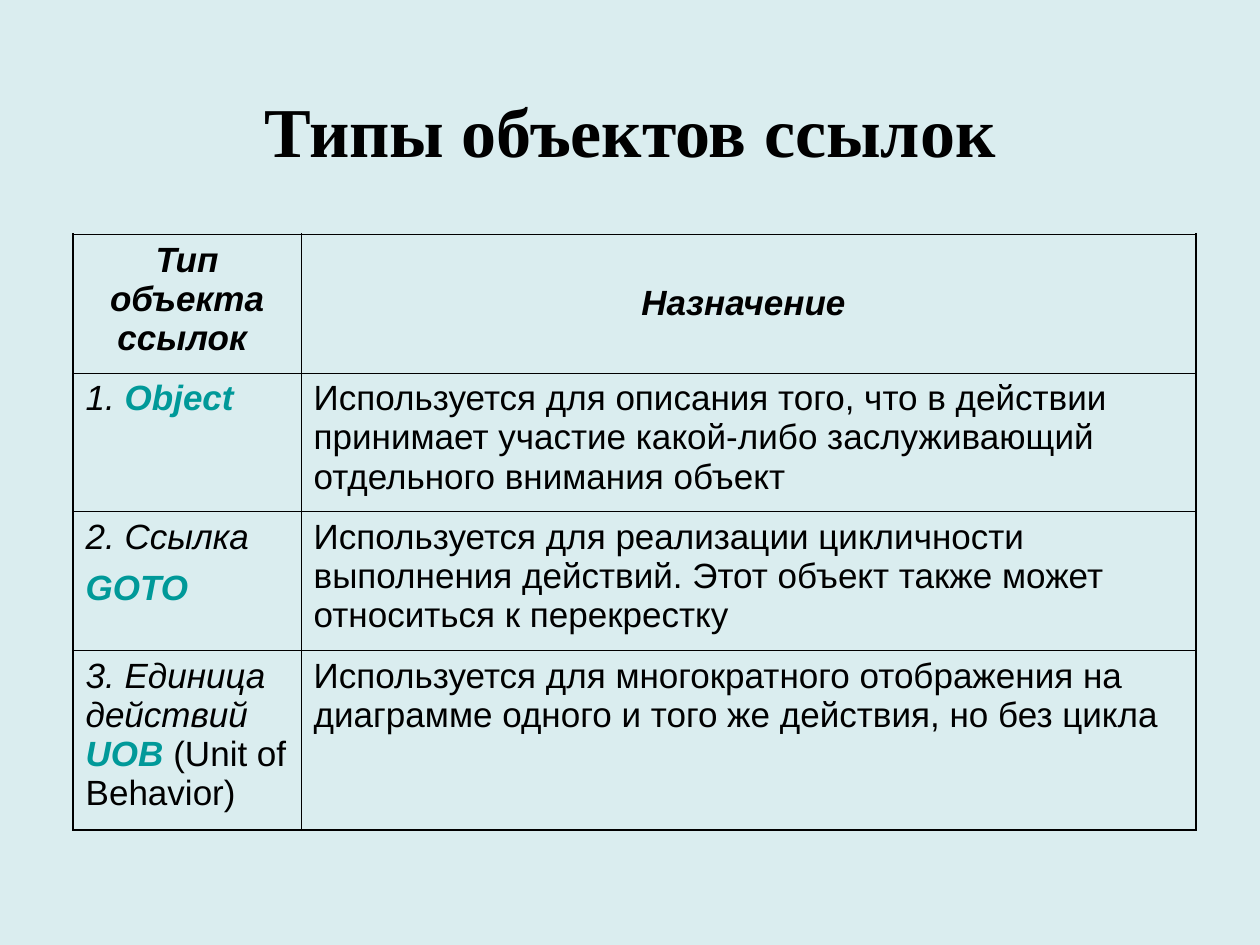
import dataclasses

import pptx
import pptx.dml.color
import pptx.enum.text
import pptx.oxml
import pptx.oxml.ns
import pptx.util

Inches = pptx.util.Inches
Pt = pptx.util.Pt
ALIGN = pptx.enum.text.PP_ALIGN
ANCHOR = pptx.enum.text.MSO_ANCHOR


@dataclasses.dataclass(frozen=True)
class Theme:
    ground: str = "DAEDEF"
    ink: str = "000000"
    accent: str = "009999"
    head_font: str = "Times New Roman"
    body_font: str = "Arial"
    head_size: int = 40
    body_size: int = 20
    thick: float = 1.08
    thin: float = 0.45
    gap: int = 7


THEME = Theme()


@dataclasses.dataclass(frozen=True)
class Run:
    text: str
    bold: bool = False
    italic: bool = False
    color: str = THEME.ink


@dataclasses.dataclass(frozen=True)
class Entry:
    """A cell's paragraphs, each a list of runs, and their placing."""
    lines: list[list[Run]]
    align: ALIGN = ALIGN.LEFT
    anchor: ANCHOR = ANCHOR.TOP


def head(text: str, anchor: ANCHOR) -> Entry:
    return Entry([[Run(text, bold=True, italic=True)]], ALIGN.CENTER, anchor)


def plain(text: str) -> Entry:
    return Entry([[Run(text)]])


def label(text: str) -> Run:
    return Run(text, italic=True)


def key(text: str) -> Run:
    return Run(text, bold=True, italic=True, color=THEME.accent)


COLS = [1.81, 7.1]
ROWS = [1.1, 1.1, 1.1, 1.43]
CELLS = [
    [head("Тип объекта ссылок ", ANCHOR.TOP), head("Назначение ", ANCHOR.MIDDLE)],
    [Entry([[label("1. "), key("Object")]]),
     plain("Используется для описания того, что в действии принимает участие "
           "какой-либо заслуживающий отдельного внимания объект")],
    [Entry([[label("2. Ссылка")], [key("GOTO")]]),
     plain("Используется для реализации цикличности выполнения действий. "
           "Этот объект также может относиться к перекрестку")],
    [Entry([[label("3. Единица действий "), key("UOB "), Run("(Unit of Behavior)")]]),
     plain("Используется для многократного отображения на диаграмме одного "
           "и того же действия, но без цикла")],
]


def set_font(font, color: str, **values) -> None:
    for name, value in values.items():
        setattr(font, name, value)
    font.color.rgb = pptx.dml.color.RGBColor.from_string(color)


def draw_edges(cell, row: int, col: int) -> None:
    """Give the table a thick frame and thin inner lines."""
    outer = {"lnL": col == 0, "lnR": col == len(COLS) - 1,
             "lnT": row == 0, "lnB": row == len(ROWS) - 1}
    props = cell._tc.get_or_add_tcPr()
    for tag, edge in outer.items():
        width = Pt(THEME.thick if edge else THEME.thin)
        props.append(pptx.oxml.parse_xml(
            f'<a:{tag} {pptx.oxml.ns.nsdecls("a")} w="{width}"><a:solidFill>'
            f'<a:srgbClr val="{THEME.ink}"/></a:solidFill></a:{tag}>'))


def fill_cell(cell, entry: Entry) -> None:
    cell.fill.background()
    cell.vertical_anchor = entry.anchor
    frame = cell.text_frame
    for index, runs in enumerate(entry.lines):
        para = frame.add_paragraph() if index else frame.paragraphs[0]
        para.alignment = entry.align
        para.space_before = Pt(THEME.gap if index else 0)
        for item in runs:
            run = para.add_run()
            run.text = item.text
            set_font(run.font, item.color, name=THEME.body_font,
                     size=Pt(THEME.body_size), bold=item.bold, italic=item.italic)


def draw_title(slide, text: str) -> None:
    title = slide.shapes.title
    place = {"left": 0.5, "top": 0.36, "width": 9, "height": 1.34}
    for name, value in place.items():
        setattr(title, name, Inches(value))
    frame = title.text_frame
    frame.text = text
    frame.vertical_anchor = ANCHOR.MIDDLE
    para = frame.paragraphs[0]
    para.alignment = ALIGN.CENTER
    set_font(para.runs[0].font, THEME.ink, name=THEME.head_font,
             size=Pt(THEME.head_size), bold=True)


def draw_table(slide) -> None:
    table = slide.shapes.add_table(
        len(ROWS), len(COLS), Inches(0.58), Inches(1.86),
        Inches(sum(COLS)), Inches(sum(ROWS))).table
    table.first_row = table.horz_banding = False
    for col, width in zip(table.columns, COLS):
        col.width = Inches(width)
    for row, height in zip(table.rows, ROWS):
        row.height = Inches(height)
    for row, entries in enumerate(CELLS):
        for col, entry in enumerate(entries):
            cell = table.cell(row, col)
            draw_edges(cell, row, col)
            fill_cell(cell, entry)


def main() -> None:
    deck = pptx.Presentation()
    deck.slide_width, deck.slide_height = Inches(10), Inches(7.5)
    slide = deck.slides.add_slide(deck.slide_layouts.get_by_name("Title Only"))
    ground = slide.background.fill
    ground.solid()
    ground.fore_color.rgb = pptx.dml.color.RGBColor.from_string(THEME.ground)
    draw_title(slide, "Типы объектов ссылок")
    draw_table(slide)
    deck.save("out.pptx")


if __name__ == "__main__":
    main()
